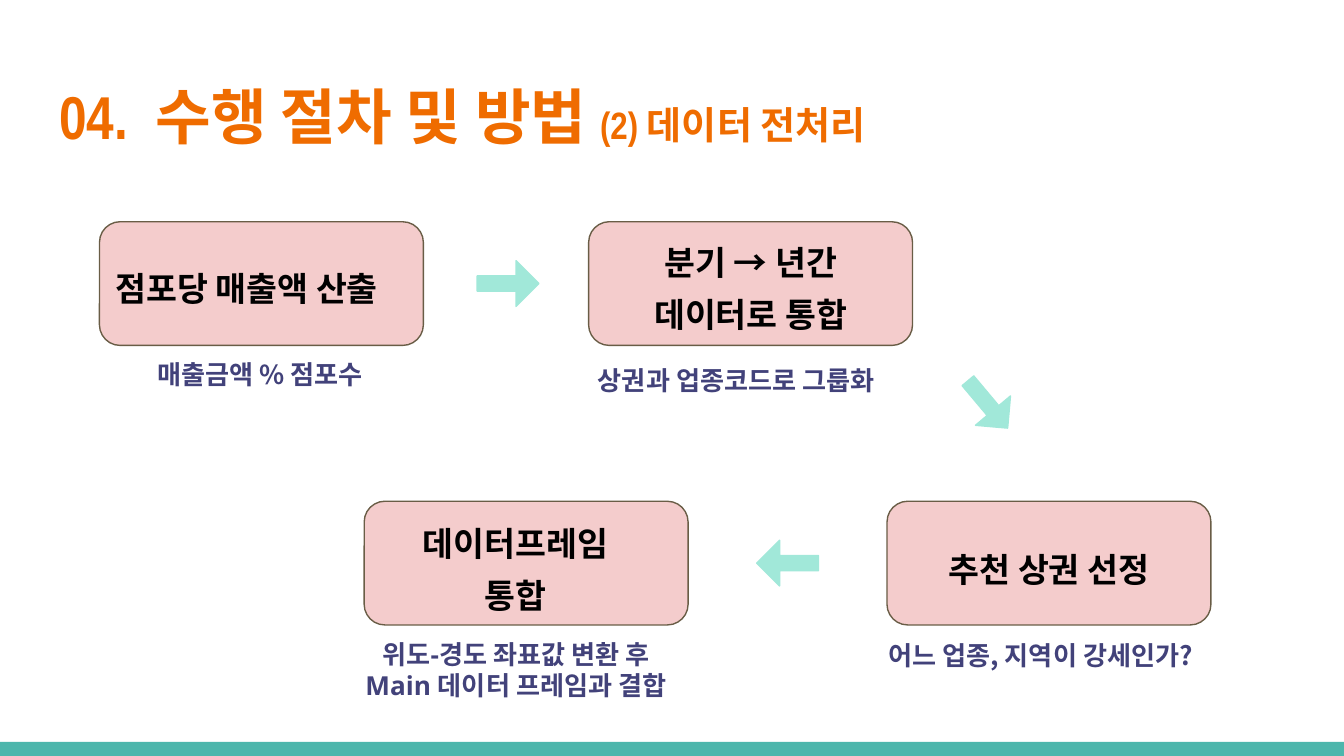
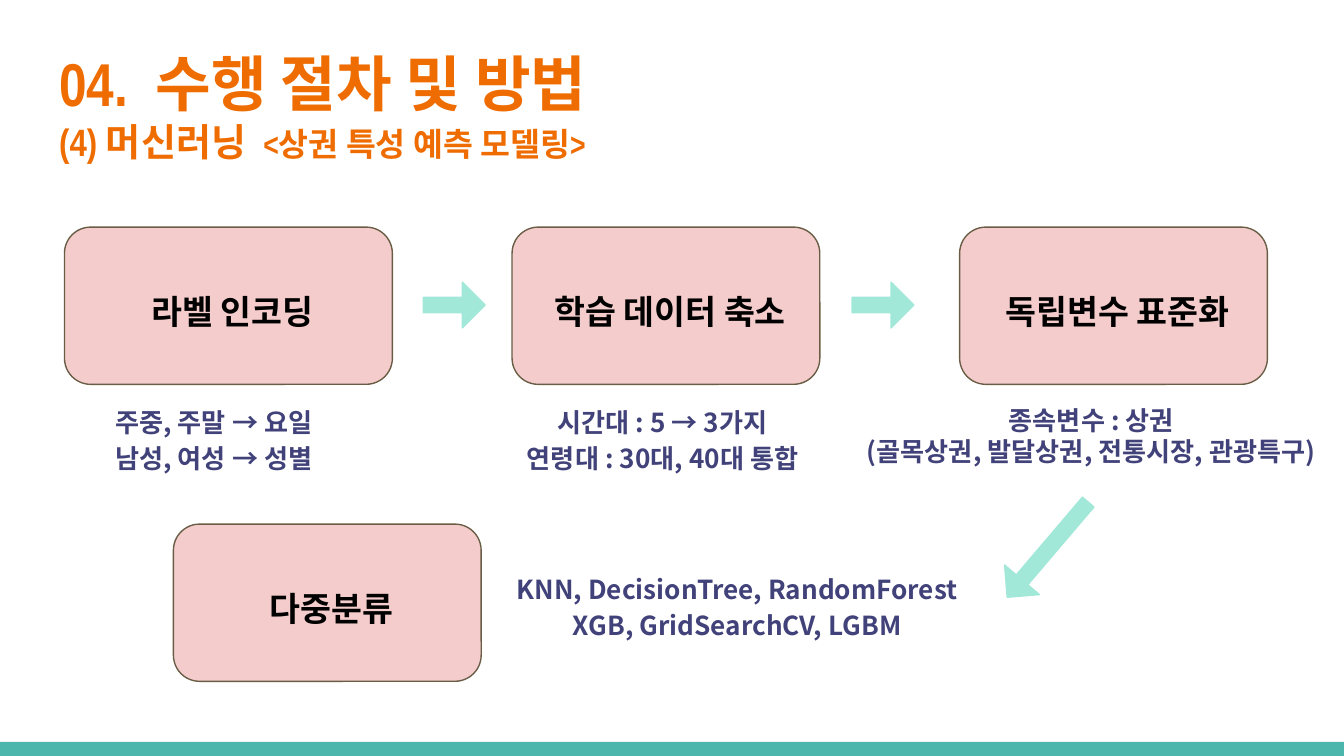
from dataclasses import dataclass

from pptx import Presentation
from pptx.dml.color import RGBColor
from pptx.enum.shapes import MSO_SHAPE
from pptx.enum.text import MSO_ANCHOR, MSO_AUTO_SIZE, PP_ALIGN
from pptx.util import Inches, Pt


@dataclass(frozen=True)
class Theme:
    title_color: RGBColor = RGBColor.from_string("EF6C00")
    band_color: RGBColor = RGBColor.from_string("4DB6AC")
    step_fill: RGBColor = RGBColor.from_string("F4CCCC")
    step_line: RGBColor = RGBColor.from_string("695D46")
    arrow_color: RGBColor = RGBColor.from_string("A1E8D9")
    label_color: RGBColor = RGBColor.from_string("000000")
    caption_color: RGBColor = RGBColor.from_string("42427A")
    title_font: str = "Arial Narrow"
    body_font: str = "Noto Sans CJK KR"
    accent_font: str = "Open Sans"
    title_size: float = 32.4
    subtitle_size: float = 20.4
    note_size: float = 17.4
    label_size: float = 18
    caption_size: float = 14
    line_width: float = 0.75


class Deck:
    def __init__(self, theme):
        self.theme = theme
        self.presentation = Presentation()
        self.presentation.slide_width = Inches(10)
        self.presentation.slide_height = Inches(10) * 9 // 16
        self.layout = self.presentation.slide_layouts[5]
        self.slide = None

    def add_slide(self):
        self.slide = self.presentation.slides.add_slide(self.layout)
        if len(self.presentation.slides) == 1:
            self.add_band()

    def add_band(self):
        """Draw the bottom band and move it to the shared layout."""
        band = self.shape(MSO_SHAPE.RECTANGLE, (0, 5.52, 10, 0.11), self.theme.band_color)
        self.layout.shapes.element.append(band.element)

    def shape(self, kind, box, fill, line=None):
        shape = self.slide.shapes.add_shape(kind, *map(Inches, box))
        shape.shadow.inherit = False
        shape.fill.solid()
        shape.fill.fore_color.rgb = fill
        if line is None:
            shape.line.fill.background()
        else:
            shape.line.color.rgb = line
            shape.line.width = Pt(self.theme.line_width)
        return shape

    def prepare_frame(self, frame, anchor):
        frame.word_wrap = True
        frame.auto_size = MSO_AUTO_SIZE.NONE
        frame.vertical_anchor = anchor
        frame.margin_left = frame.margin_right = Inches(0.1)
        frame.margin_top = frame.margin_bottom = Inches(0.1)

    def format_paragraph(self, paragraph, font_name, color, size, align, spacing):
        paragraph.alignment = align
        paragraph.line_spacing = spacing
        font = paragraph.font
        font.name, font.bold, font.size = font_name, True, Pt(size)
        font.color.rgb = color

    def title(self, box, *lines):
        """Fill the title; each line is a list of (text, size) runs."""
        title = self.slide.shapes.title
        title.left, title.top, title.width, title.height = map(Inches, box)
        frame = title.text_frame
        self.prepare_frame(frame, MSO_ANCHOR.TOP)
        for index, runs in enumerate(lines):
            paragraph = frame.add_paragraph() if index else frame.paragraphs[0]
            self.format_paragraph(paragraph, self.theme.title_font, self.theme.title_color,
                                  runs[0][1], PP_ALIGN.LEFT, 1.0)
            for text, size in runs:
                run = paragraph.add_run()
                run.text = text
                run.font.size = Pt(size)

    def text(self, box, text, color, size, align, spacing, anchor, font_name):
        frame = self.slide.shapes.add_textbox(*map(Inches, box)).text_frame
        self.prepare_frame(frame, anchor)
        frame.text = text
        for paragraph in frame.paragraphs:
            self.format_paragraph(paragraph, font_name, color, size, align, spacing)

    def step(self, box, label, label_box, align=PP_ALIGN.CENTER):
        theme = self.theme
        self.shape(MSO_SHAPE.ROUNDED_RECTANGLE, box, theme.step_fill, theme.step_line)
        self.text(label_box, label, theme.label_color, theme.label_size,
                  align, 1.3, MSO_ANCHOR.MIDDLE, theme.body_font)

    def caption(self, box, text, align=PP_ALIGN.LEFT, spacing=1.0, font_name=None):
        theme = self.theme
        self.text(box, text, theme.caption_color, theme.caption_size,
                  align, spacing, MSO_ANCHOR.TOP, font_name or theme.body_font)

    def arrow(self, left, top, rotation=0, width=0.46):
        color = self.theme.arrow_color
        arrow = self.shape(MSO_SHAPE.RIGHT_ARROW, (left, top, width, 0.34), color, color)
        arrow.adjustments[0] = 1 / 3
        arrow.rotation = rotation


def build_preprocessing(deck):
    theme = deck.theme
    deck.add_slide()
    deck.title((0.34, 0.49, 9.32, 0.77),
               [("04.  수행 절차 및 방법 ", theme.title_size),
                ("(2) 데이터 전처리", theme.subtitle_size)])

    step_size = (2.41, 0.92)
    upper, lower = 1.65, 3.73
    deck.step((0.74, upper, *step_size), "점포당 매출액 산출",
              (0.76, 1.85, 2.41, 0.5), PP_ALIGN.LEFT)
    deck.step((4.38, upper, *step_size), "분기 → 년간 데이터로 통합", (4.49, 1.85, 2.19, 0.5))
    deck.step((6.6, lower, *step_size), "추천 상권 선정", (6.85, 3.94, 1.91, 0.5))
    deck.step((2.71, lower, *step_size), "데이터프레임 통합", (2.94, 3.74, 1.79, 0.9))

    deck.caption((1.07, 2.57, 1.91, 0.44), "매출금액 % 점포수")
    deck.caption((4.35, 2.61, 2.52, 0.44), "상권과 업종코드로 그룹화")
    deck.caption((6.51, 4.66, 2.87, 0.44), "어느 업종, 지역이 강세인가?")
    deck.caption((1.67, 4.65, 4.34, 0.67),
                 "위도-경도 좌표값 변환 후\nMain 데이터 프레임과 결합",
                 PP_ALIGN.CENTER, font_name=theme.accent_font)

    deck.arrow(3.55, 1.94)
    deck.arrow(7.12, 2.84, rotation=50)
    deck.arrow(5.63, 4.02, rotation=180)


def build_machine_learning(deck):
    theme = deck.theme
    deck.add_slide()
    deck.title((0.34, 0.24, 9.76, 1.15),
               [("04.  수행 절차 및 방법", theme.title_size)],
               [("(4) 머신러닝  ", theme.subtitle_size),
                ("<상권 특성 예측 모델링>", theme.note_size)])

    for left, top, width, label in (
        (0.48, 1.69, 2.44, "라벨 인코딩"),
        (3.81, 1.69, 2.29, "학습 데이터 축소"),
        (7.14, 1.69, 2.29, "독립변수 표준화"),
        (1.29, 3.9, 2.29, "다중분류"),
    ):
        deck.step((left, top, width, 1.17), label, (left + 0.03, top + 0.26, width, 0.64))

    deck.caption((0.76, 2.89, 1.9, 0.71), "주중, 주말 → 요일\n남성, 여성 → 성별", spacing=1.15)
    deck.caption((3.34, 2.89, 3.18, 0.71), "시간대 : 5 → 3가지\n연령대 : 30대, 40대 통합",
                 PP_ALIGN.CENTER, 1.15)
    deck.caption((6.04, 2.91, 4.16, 0.67),
                 "종속변수 : 상권\n(골목상권, 발달상권, 전통시장, 관광특구)", PP_ALIGN.CENTER)
    deck.caption((3.74, 4.13, 3.49, 0.71),
                 "KNN, DecisionTree, RandomForest\nXGB, GridSearchCV, LGBM",
                 PP_ALIGN.CENTER, 1.15)

    deck.arrow(3.15, 2.1)
    deck.arrow(6.34, 2.1)
    deck.arrow(7.33, 3.92, rotation=130.4, width=0.93)


def main():
    deck = Deck(Theme())
    build_preprocessing(deck)
    build_machine_learning(deck)
    deck.presentation.save("out.pptx")


if __name__ == "__main__":
    main()
